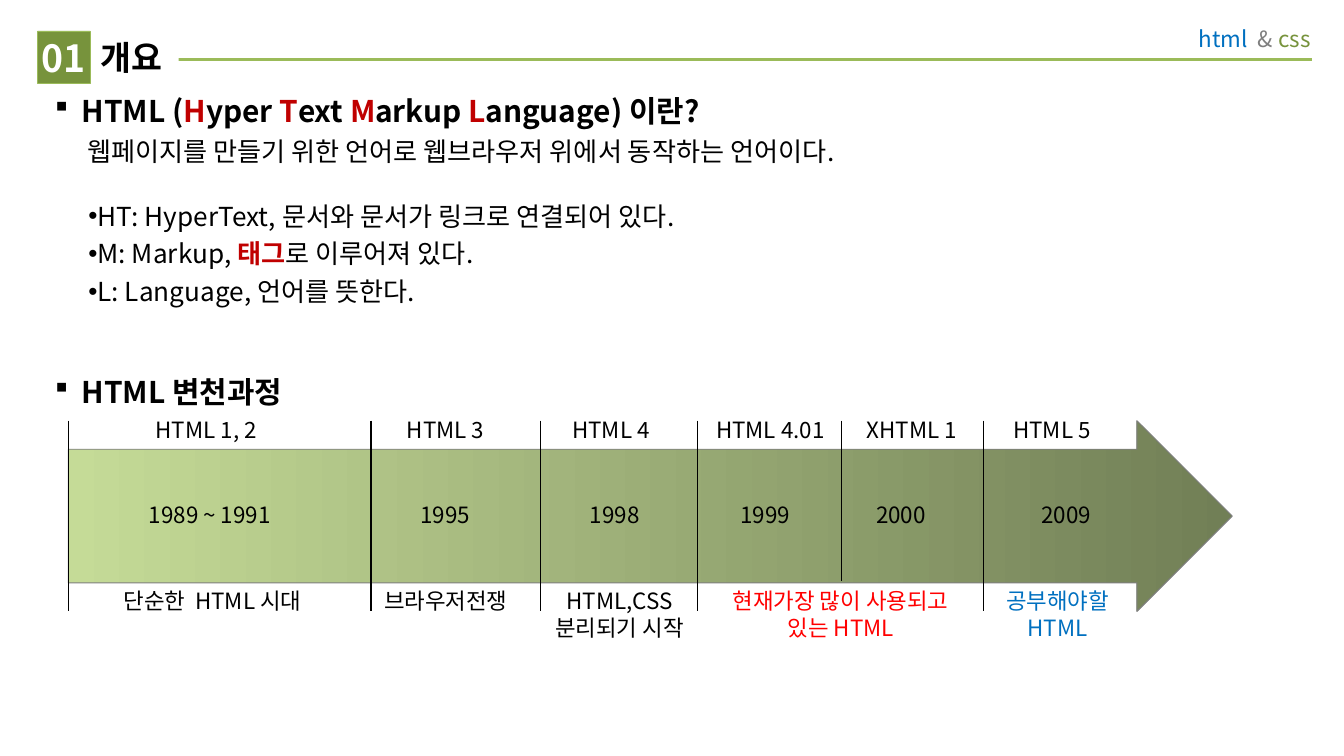
from lxml import etree
from pptx import Presentation
from pptx import util as u
from pptx.dml.color import RGBColor
from pptx.enum import shapes, text
from pptx.oxml import ns

FONT = "Noto Sans CJK KR"
BLACK = RGBColor(0x00, 0x00, 0x00)
WHITE = RGBColor(0xFF, 0xFF, 0xFF)
GRAY = RGBColor(0x7F, 0x7F, 0x7F)
BLUE = RGBColor(0x00, 0x70, 0xC0)
RED = RGBColor(0xFF, 0x00, 0x00)
DARK_RED = RGBColor(0xC0, 0x00, 0x00)
GREEN = RGBColor(0x77, 0x93, 0x3C)
LIGHT_GREEN = RGBColor(0x9B, 0xBB, 0x59)
ARROW_DARK = RGBColor(0x71, 0x7F, 0x56)
ARROW_LIGHT = RGBColor(0xC5, 0xDB, 0x97)

# Bullets: typeface and character (the Wingdings section sign is a square)
SQUARE = ("Wingdings", "§")
DOT = ("Arial", "•")

ARROW_LEFT, ARROW_TOP, ARROW_WIDTH, ARROW_HEIGHT = 0.51, 3.13, 8.66, 1.42
ARROW_BOTTOM = ARROW_TOP + ARROW_HEIGHT
VERSION_TOP, YEAR_TOP, NOTE_TOP = 3.05, 3.68, 4.32

# Timeline entries: left, width, label
VERSIONS = [(1.06, 1.2, "HTML 1, 2"), (2.93, 1.0, "HTML 3"),
            (4.16, 0.91, "HTML 4"), (5.23, 1.1, "HTML 4.01"),
            (6.35, 1.02, "XHTML 1"), (7.44, 1.02, "HTML 5")]
YEARS = [(1.01, 1.2, "1989 ~ 1991"), (3.03, 0.71, "1995"),
         (4.29, 0.71, "1998"), (5.41, 0.71, "1999"),
         (6.42, 0.71, "2000"), (7.65, 0.71, "2009")]
# Notes: left, width, lines, colour, alignment
LEFT, CENTER = text.PP_ALIGN.LEFT, text.PP_ALIGN.CENTER
NOTES = [(0.82, 1.85, ["단순한  HTML 시대"], BLACK, LEFT),
         (2.76, 1.26, ["브라우저전쟁"], BLACK, LEFT),
         (3.98, 1.26, ["HTML,CSS", "분리되기 시작"], BLACK, CENTER),
         (5.19, 2.13, ["현재가장 많이 사용되고 있는 HTML"], RED, CENTER),
         (7.24, 1.26, ["공부해야할", "HTML"], BLUE, CENTER)]
# Dividers: x, bottom
DIVIDERS = [(x, ARROW_BOTTOM) for x in (ARROW_LEFT, 2.76, 4.02, 5.19, 7.32)]
DIVIDERS.append((6.26, NOTE_TOP))


def apply(target, values):
    for name, value in values.items():
        setattr(target, name, value)


def add_span(para, words, size, color=BLACK, bold=False):
    span = para.add_run()
    span.text = words
    apply(span.font, {"name": FONT, "size": u.Pt(size), "bold": bold})
    span.font.color.rgb = color


def add_box(page, left, top, width, height, margins=(0.1, 0.05, 0.1, 0.05)):
    box = page.shapes.add_textbox(*map(u.Inches, (left, top, width, height)))
    sides = ("margin_left", "margin_top", "margin_right", "margin_bottom")
    apply(box.text_frame, {"word_wrap": True,
                           **dict(zip(sides, map(u.Inches, margins)))})
    return box.text_frame


def add_label(page, left, top, width, lines, color=BLACK, align=LEFT):
    # Labels on two lines are the centred ones
    frame = add_box(page, left, top, width, 0.5 if align == CENTER else 0.3)
    para = frame.paragraphs[0]
    para.alignment = align
    for index, words in enumerate(lines):
        if index:
            para.add_line_break()
        add_span(para, words, 12, color)


def add_line(page, start, end, color, width):
    line = page.shapes.add_connector(
        shapes.MSO_CONNECTOR.STRAIGHT, *map(u.Inches, (*start, *end)))
    line.line.color.rgb = color
    line.line.width = u.Pt(width)
    etree.SubElement(line._element.spPr, ns.qn("a:effectLst"))


def add_shape(page, kind, left, top, width, height, border, weight):
    shape = page.shapes.add_shape(
        kind, *map(u.Inches, (left, top, width, height)))
    shape.shadow.inherit = False
    shape.line.color.rgb = border
    shape.line.width = u.Pt(weight)
    return shape


def set_indent(para, margin, hanging=0, bullet=None):
    properties = para._p.get_or_add_pPr()
    properties.set("marL", str(u.Inches(margin)))
    properties.set("indent", str(u.Inches(-hanging)))
    if bullet:
        typeface, character = bullet
        color = etree.SubElement(properties, ns.qn("a:buClr"))
        etree.SubElement(color, ns.qn("a:srgbClr"), val=str(BLACK))
        etree.SubElement(properties, ns.qn("a:buFont"), typeface=typeface)
        etree.SubElement(properties, ns.qn("a:buChar"), char=character)


def add_heading(frame, spans):
    para = frame.paragraphs[0]
    para.space_before = u.Pt(4)
    set_indent(para, 0.2, 0.2, SQUARE)
    for words, color in spans:
        add_span(para, words, 16, color, True)


def add_header(page):
    add_line(page, (9.76, 0.44), (0.71, 0.44), LIGHT_GREEN, 1.5)
    para = add_box(page, 8.31, 0.11, 1.54, 0.36,
                   (0.1, 0.08, 0.1, 0.08)).paragraphs[0]
    para.alignment = text.PP_ALIGN.RIGHT
    for words, color in (("html  ", BLUE), ("& ", GRAY), ("css", GREEN)):
        add_span(para, words, 12, color)

    # Title covers the start of the rule
    title = add_shape(page, shapes.MSO_SHAPE.RECTANGLE,
                      0.67, 0.23, 0.66, 0.39, WHITE, 0.25)
    number = add_shape(page, shapes.MSO_SHAPE.RECTANGLE,
                       0.28, 0.23, 0.39, 0.39, LIGHT_GREEN, 0.25)
    title.line.fill.background()
    for shape, fill, words, size, color, align, inset in (
            (title, WHITE, "개요", 18, BLACK, LEFT, 0.08),
            (number, GREEN, "01", 20, WHITE, CENTER, 0)):
        shape.fill.solid()
        shape.fill.fore_color.rgb = fill
        apply(shape.text_frame, {
            "margin_left": u.Inches(inset), "margin_right": 0,
            "margin_top": 0, "margin_bottom": 0, "word_wrap": False,
            "vertical_anchor": text.MSO_ANCHOR.MIDDLE})
        para = shape.text_frame.paragraphs[0]
        para.alignment = align
        add_span(para, words, size, color, True)


def add_definition(page):
    frame = add_box(page, 0.31, 0.64, 8.62, 1.74)
    add_heading(frame, [
        ("HTML (", BLACK), ("H", DARK_RED), ("yper ", BLACK),
        ("T", DARK_RED), ("ext ", BLACK), ("M", DARK_RED),
        ("arkup ", BLACK), ("L", DARK_RED), ("anguage) 이란?", BLACK)])
    # Space before, margin, hanging, bullet, spans
    lines = [
        (3.5, 0.24, 0, None,
         [("웹페이지를 만들기 위한 언어로 웹브라우저 위에서 동작하는 언어이다.",)]),
        (18, 0.29, 0.04, DOT,
         [("HT: HyperText, 문서와 문서가 링크로 연결되어 있다.",)]),
        (3.5, 0.29, 0.04, DOT,
         [("M: Markup, ",), ("태그", DARK_RED, True), ("로 이루어져 있다.",)]),
        (3.5, 0.29, 0.04, DOT, [("L: Language, 언어를 뜻한다.",)])]
    for gap, margin, hanging, bullet, spans in lines:
        para = frame.add_paragraph()
        para.space_before = u.Pt(gap)
        set_indent(para, margin, hanging, bullet)
        for words, *style in spans:
            add_span(para, words, 14, *style)


def add_timeline(page):
    add_heading(add_box(page, 0.31, 2.73, 8.62, 0.39),
                [("HTML 변천과정", BLACK)])
    arrow = add_shape(page, shapes.MSO_SHAPE.RIGHT_ARROW, ARROW_LEFT,
                      ARROW_TOP, ARROW_WIDTH, ARROW_HEIGHT, GRAY, 0.5)
    arrow.adjustments[0], arrow.adjustments[1] = 0.7, 0.5
    arrow.fill.gradient()
    arrow.fill.gradient_angle = 180
    for stop, color in zip(arrow.fill.gradient_stops,
                           (ARROW_DARK, ARROW_LIGHT)):
        stop.color.rgb = color

    for x, bottom in DIVIDERS:
        add_line(page, (x, ARROW_TOP), (x, bottom), BLACK, 0.75)
    for top, labels in ((YEAR_TOP, YEARS), (VERSION_TOP, VERSIONS)):
        for left, width, words in labels:
            add_label(page, left, top, width, [words])
    for left, width, lines, color, align in NOTES:
        add_label(page, left, NOTE_TOP, width, lines, color, align)


def main():
    deck = Presentation()
    # Widescreen, 16:9
    deck.slide_width = u.Inches(10)
    deck.slide_height = deck.slide_width * 9 // 16
    page = deck.slides.add_slide(deck.slide_layouts[6])
    add_header(page)
    add_definition(page)
    add_timeline(page)
    deck.save("out.pptx")


if __name__ == "__main__":
    main()
